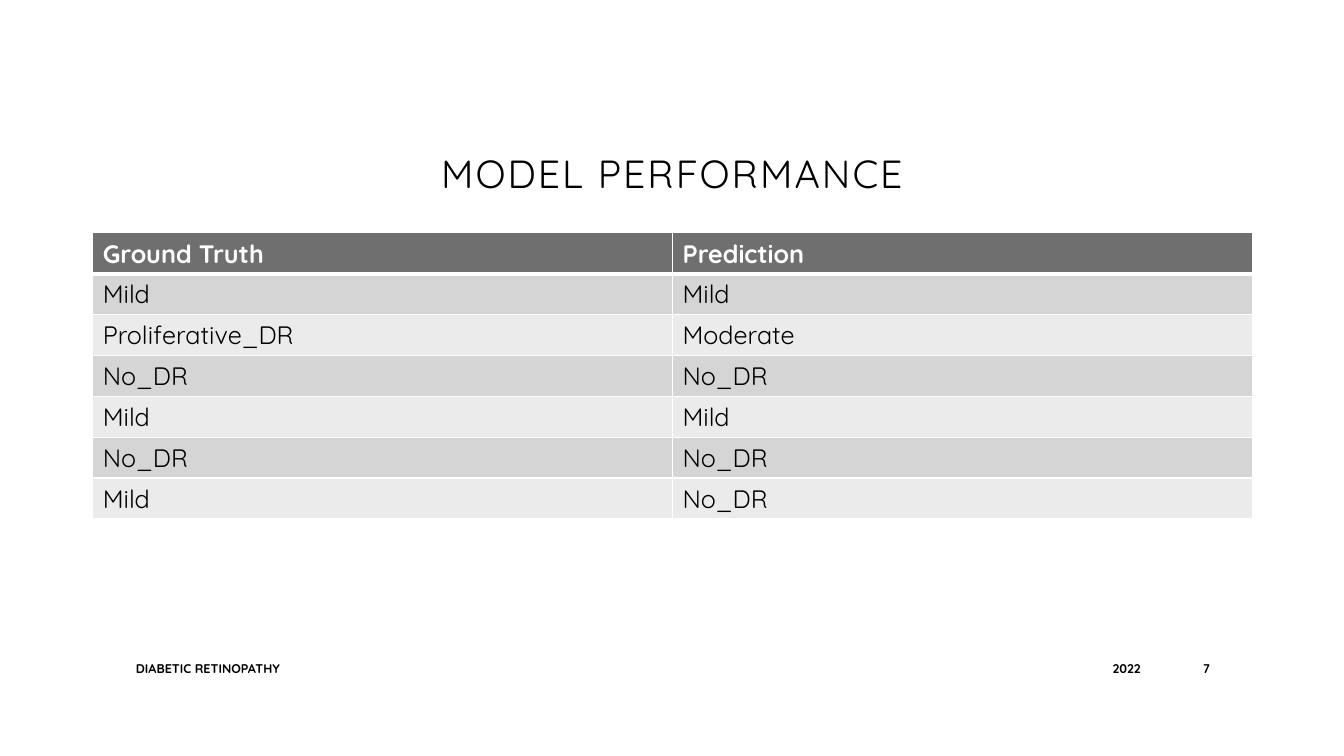
from dataclasses import dataclass

from lxml import etree
from pptx import Presentation
from pptx.dml.color import RGBColor
from pptx.enum.text import MSO_ANCHOR, MSO_AUTO_SIZE, PP_ALIGN
from pptx.oxml.ns import qn
from pptx.util import Inches, Pt

LEFT, CENTER, RIGHT = PP_ALIGN.LEFT, PP_ALIGN.CENTER, PP_ALIGN.RIGHT
MIDDLE = MSO_ANCHOR.MIDDLE
NO_AUTOFIT = MSO_AUTO_SIZE.NONE


@dataclass(frozen=True)
class Theme:
    font: str = "Quicksand"
    ink: str = "000000"
    white: str = "FFFFFF"
    header: str = "6F6F6F"
    bands: tuple = ("D5D5D5", "EBEBEB")
    title: int = 28
    body: int = 18
    footer: int = 9


T = Theme()


def write(tf, text, size=T.body, color=T.ink, bold=False, align=LEFT, spacing=0):
    p = tf.paragraphs[0]
    p.alignment = align
    r = p.add_run()
    r.text = text
    r.font.name = T.font
    r.font.size = Pt(size)
    r.font.bold = bold
    r.font.color.rgb = RGBColor.from_string(color)
    if spacing:
        r.font._element.set("spc", str(round(spacing * 100)))


def add_border(cell, side, width):
    ln = etree.SubElement(cell._tc.get_or_add_tcPr(), qn(f"a:ln{side}"), w=str(Pt(width)))
    fill = etree.SubElement(ln, qn("a:solidFill"))
    etree.SubElement(fill, qn("a:srgbClr"), val=T.white)


prs = Presentation()
prs.slide_width, prs.slide_height = Inches(13.33), Inches(7.5)
s = prs.slides.add_slide(prs.slide_layouts[5])

title = s.shapes.title
title.left, title.top = Inches(1.25), Inches(0.67)
title.width, title.height = Inches(10.83), Inches(2.08)
tf = title.text_frame
tf.word_wrap = True
tf.auto_size = NO_AUTOFIT
tf.vertical_anchor = MIDDLE
write(tf, "MODEL PERFORMANCE", size=T.title, align=CENTER, spacing=1.5)

footers = [
    ("2022", 9.66, 1.75, RIGHT),
    ("DIABETIC RETINOPATHY", 1.25, 8.25, LEFT),
    ("7", 11.5, 0.6, RIGHT),
]
for text, left, width, align in footers:
    tf = s.shapes.add_textbox(Inches(left), Inches(6.43), Inches(width), Inches(0.4)).text_frame
    tf.word_wrap = True
    tf.vertical_anchor = MIDDLE
    write(tf, text, size=T.footer, bold=True, align=align)

rows = [
    ("Ground Truth", "Prediction"),
    ("Mild", "Mild"),
    ("Proliferative_DR", "Moderate"),
    ("No_DR", "No_DR"),
    ("Mild", "Mild"),
    ("No_DR", "No_DR"),
    ("Mild", "No_DR"),
]
table = s.shapes.add_table(
    len(rows), 2, Inches(0.92), Inches(2.31), Inches(11.5), Inches(2.84)
).table
for i, row in enumerate(rows):
    is_header = i == 0
    for j, text in enumerate(row):
        cell = table.cell(i, j)
        for side in "LRTB":
            heavy = (is_header and side == "B") or (i == 1 and side == "T")
            add_border(cell, side, 3 if heavy else 1)
        cell.fill.solid()
        fill = T.header if is_header else T.bands[(i - 1) % 2]
        cell.fill.fore_color.rgb = RGBColor.from_string(fill)
        write(cell.text_frame, text, color=T.white if is_header else T.ink, bold=is_header)

prs.save("out.pptx")
